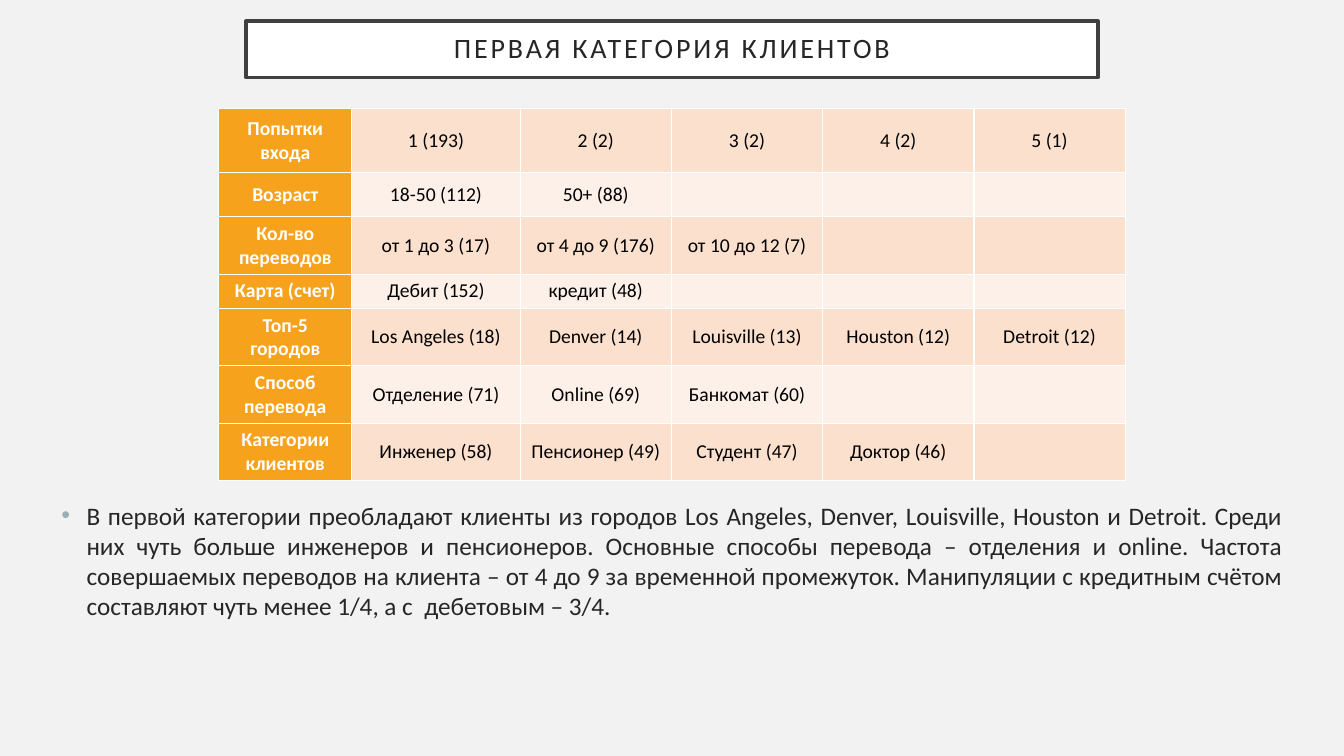
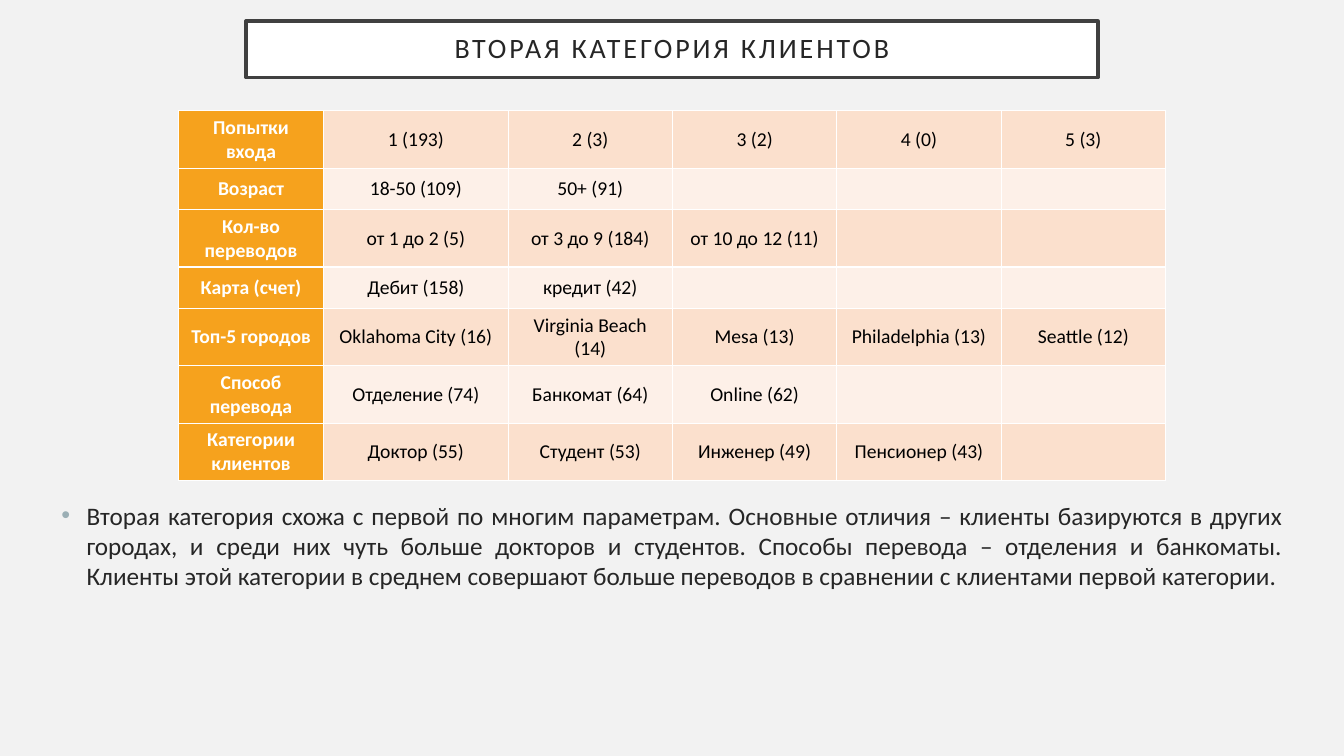
from lxml import etree
from pptx import Presentation
from pptx.dml import color
from pptx.enum import shapes, text
from pptx.oxml import ns
from pptx.util import Inches, Pt

FONT = "Calibri"
PAPER, WHITE, BLACK = "F2F2F2", "FFFFFF", "000000"
INK, FRAME, BULLET = "262626", "404040", "9BAFB5"
HEAD, BANDS = "F6A21D", ("FBE0CD", "FDF0E8")
WIDE, HIGH = 13.33, 7.5

LABELS = ["Попытки входа", "Возраст", "Кол-во переводов", "Карта (счет)",
          "Топ-5 городов", "Способ перевода", "Категории клиентов"]

SLIDES = [
    {
        "title": "ПЕРВАЯ КАТЕГОРИЯ КЛИЕНТОВ",
        "top": 1.08,
        "cols": [1.32, 1.67] + [1.5] * 4,
        "rows": [0.63, 0.44, 0.57, 0.34, 0.57, 0.57, 0.57],
        "cells": [
            ["1 (193)", "2 (2)", "3 (2)", "4 (2)", "5 (1)"],
            ["18-50 (112)", "50+ (88)"],
            ["от 1 до 3 (17)", "от 4 до 9 (176)", "от 10 до 12 (7)"],
            ["Дебит (152)", "кредит (48)"],
            ["Los Angeles (18)", "Denver (14)", "Louisville (13)",
             "Houston (12)", "Detroit (12)"],
            ["Отделение (71)", "Online (69)", "Банкомат (60)"],
            ["Инженер (58)", "Пенсионер (49)", "Студент (47)", "Доктор (46)"],
        ],
        "note": "В первой категории преобладают клиенты из городов Los Angeles, "
                "Denver, Louisville, Houston и Detroit. Среди них чуть больше "
                "инженеров и пенсионеров. Основные способы перевода – отделения "
                "и online. Частота совершаемых переводов на клиента – от 4 до 9 "
                "за временной промежуток. Манипуляции с кредитным счётом "
                "составляют чуть менее 1/4, а с  дебетовым – 3/4.",
    },
    {
        "title": "ВТОРАЯ КАТЕГОРИЯ КЛИЕНТОВ",
        "top": 1.1,
        "cols": [1.44, 1.83] + [1.63] * 4,
        "rows": [0.57, 0.41, 0.57, 0.41, 0.57, 0.57, 0.57],
        "cells": [
            ["1 (193)", "2 (3)", "3 (2)", "4 (0)", "5 (3)"],
            ["18-50 (109)", "50+ (91)"],
            ["от 1 до 2 (5)", "от 3 до 9 (184)", "от 10 до 12 (11)"],
            ["Дебит (158)", "кредит (42)"],
            ["Oklahoma City (16)", "Virginia Beach (14)", "Mesa (13)",
             "Philadelphia (13)", "Seattle (12)"],
            ["Отделение (74)", "Банкомат (64)", "Online (62)"],
            ["Доктор (55)", "Студент (53)", "Инженер (49)", "Пенсионер (43)"],
        ],
        "note": "Вторая категория схожа с первой по многим параметрам. Основные "
                "отличия – клиенты базируются в других городах, и среди них чуть "
                "больше докторов и студентов. Способы перевода – отделения и "
                "банкоматы. Клиенты этой категории в среднем совершают больше "
                "переводов в сравнении с клиентами первой категории.",
    },
]


def rgb(code):
    return color.RGBColor.from_string(code)


def paint(fill, code):
    fill.solid()
    fill.fore_color.rgb = rgb(code)


def node(parent, tag, **attrs):
    return etree.SubElement(parent, ns.qn(tag), attrs)


def write(para, words, size, code, align, bold=False):
    if words:
        para.add_run().text = words
    else:
        node(para._p, "a:endParaRPr", sz=str(size * 100))
    para.alignment = align
    font = para.font
    font.name, font.size, font.bold = FONT, Pt(size), bold
    font.color.rgb = rgb(code)


def add_title(slide, words):
    box = slide.shapes.add_shape(shapes.MSO_SHAPE.RECTANGLE, Inches(2.44),
                                 Inches(0.21), Inches(8.45), Inches(0.56))
    box.shadow.inherit = False
    paint(box.fill, WHITE)
    box.line.color.rgb = rgb(FRAME)
    box.line.width = Pt(2.5)
    frame = box.text_frame
    frame.vertical_anchor = text.MSO_ANCHOR.MIDDLE
    frame.margin_left = frame.margin_right = Inches(0.2)
    frame.margin_top = frame.margin_bottom = Inches(0.2)
    para = frame.paragraphs[0]
    write(para, words, 20, INK, text.PP_ALIGN.CENTER)
    para.line_spacing = 0.9
    para.runs[0]._r.get_or_add_rPr().set("spc", "200")


def add_note(slide, words):
    box = slide.shapes.add_textbox(Inches(0.51), Inches(4.91),
                                   Inches(12.31), Inches(2.39))
    box.text_frame.word_wrap = True
    para = box.text_frame.paragraphs[0]
    para.space_before = Pt(10)
    props = para._p.get_or_add_pPr()
    props.set("marL", str(Inches(0.25)))
    props.set("indent", str(-Inches(0.25)))
    node(node(props, "a:buClr"), "a:srgbClr", val=BULLET)
    node(props, "a:buFont", typeface="Arial")
    node(props, "a:buChar", char="•")
    write(para, words, 18, INK, text.PP_ALIGN.JUSTIFY)


def fill_cell(cell, words, back, code, bold):
    props = cell._tc.get_or_add_tcPr()
    for side in ("L", "R", "T", "B"):
        line = node(props, "a:ln" + side, w=str(Pt(1)))
        node(node(line, "a:solidFill"), "a:srgbClr", val=WHITE)
    paint(cell.fill, back)
    cell.vertical_anchor = text.MSO_ANCHOR.MIDDLE
    write(cell.text_frame.paragraphs[0], words, 14, code,
          text.PP_ALIGN.CENTER, bold)


def add_grid(slide, data):
    cols, rows = data["cols"], data["rows"]
    width = sum(cols)
    grid = slide.shapes.add_table(
        len(rows), len(cols), Inches((WIDE - width) / 2), Inches(data["top"]),
        Inches(width), Inches(sum(rows))).table
    grid.first_row = grid.horz_banding = False
    for col, size in zip(grid.columns, cols):
        col.width = Inches(size)
    for i, (label, values) in enumerate(zip(LABELS, data["cells"])):
        grid.rows[i].height = Inches(rows[i])
        fill_cell(grid.cell(i, 0), label, HEAD, WHITE, True)
        for j in range(1, len(cols)):
            words = values[j - 1] if j <= len(values) else ""
            fill_cell(grid.cell(i, j), words, BANDS[i % 2], BLACK, False)


def main():
    deck = Presentation()
    deck.slide_width, deck.slide_height = Inches(WIDE), Inches(HIGH)
    for data in SLIDES:
        slide = deck.slides.add_slide(deck.slide_layouts[6])
        paint(slide.background.fill, PAPER)
        add_title(slide, data["title"])
        add_note(slide, data["note"])
        add_grid(slide, data)
    deck.save("out.pptx")


if __name__ == "__main__":
    main()
